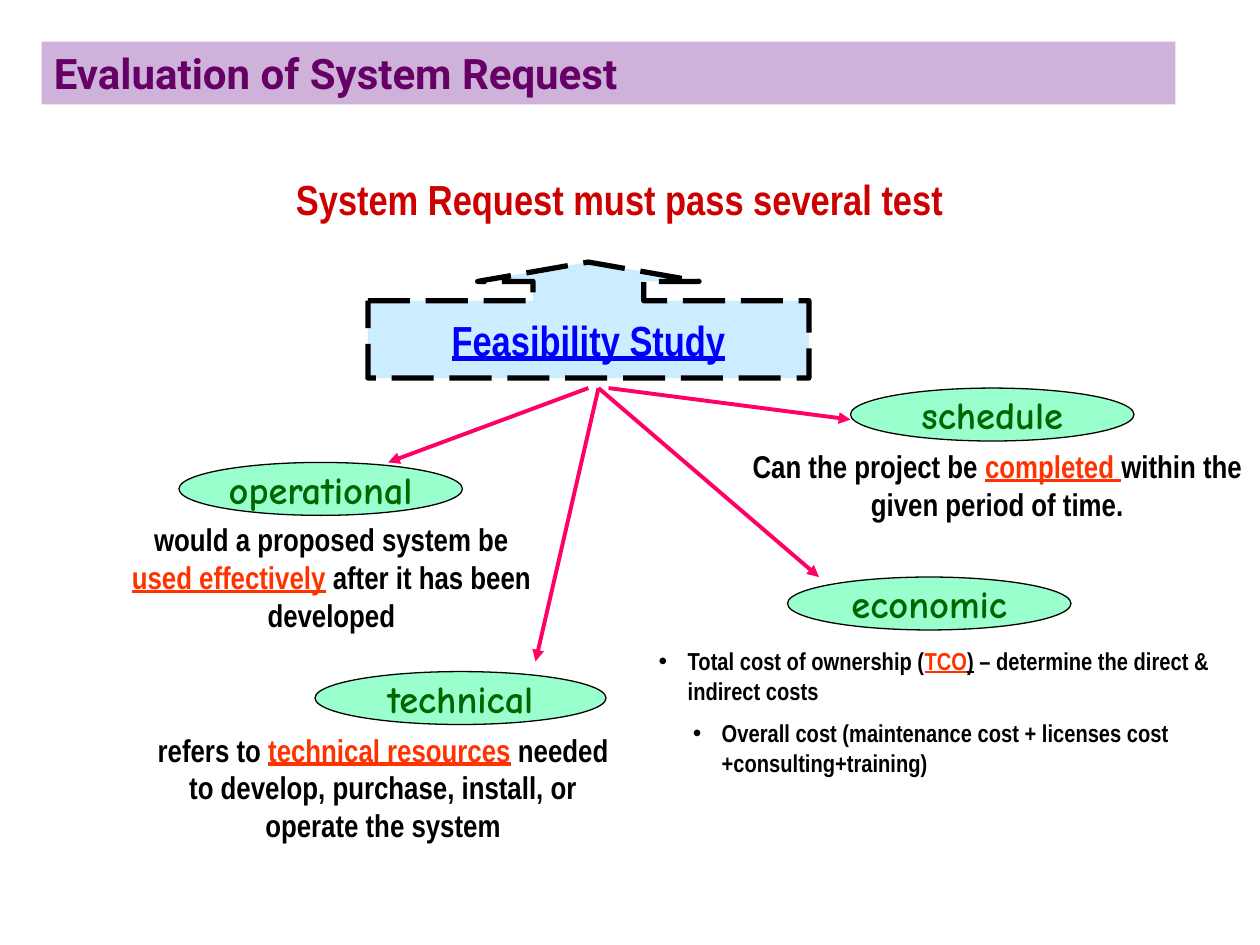
from lxml import etree
from pptx import Presentation
from pptx.dml.color import RGBColor
from pptx.enum import dml, shapes, text
from pptx.oxml.ns import qn
from pptx.util import Inches, Pt

PURPLE = RGBColor(0x66, 0x00, 0x66)
LILAC = RGBColor(0xCF, 0xB2, 0xDA)
DARK_RED = RGBColor(0xCC, 0x00, 0x00)
BLUE = RGBColor(0x00, 0x00, 0xFF)
PALE_BLUE = RGBColor(0xCC, 0xEC, 0xFF)
MINT = RGBColor(0x99, 0xFF, 0xCC)
GREEN = RGBColor(0x00, 0x66, 0x00)
PINK = RGBColor(0xFF, 0x00, 0x66)
ORANGE = RGBColor(0xFF, 0x33, 0x00)
BLACK = RGBColor(0x00, 0x00, 0x00)

NARROW = "Arial Narrow"
LEFT = text.PP_ALIGN.LEFT
CENTER = text.PP_ALIGN.CENTER
GROW = text.MSO_AUTO_SIZE.SHAPE_TO_FIT_TEXT

presentation = Presentation()
presentation.slide_width = Inches(10)
presentation.slide_height = Inches(7.5)
slide = presentation.slides.add_slide(presentation.slide_layouts[6])


def add_runs(paragraph, runs, size, font=NARROW, align=LEFT):
    paragraph.alignment = align
    for words, color, underline in runs:
        run = paragraph.add_run()
        run.text = words
        run.font.name = font
        run.font.size = Pt(size)
        run.font.bold = True
        run.font.underline = underline
        run.font.color.rgb = color


def add_filled(kind, box, fill):
    shape = slide.shapes.add_shape(kind, *map(Inches, box))
    shape.shadow.inherit = False
    shape.fill.solid()
    shape.fill.fore_color.rgb = fill
    shape.line.color.rgb = BLACK
    shape.line.width = Pt(0.75)
    shape.text_frame.word_wrap = False
    shape.text_frame.vertical_anchor = text.MSO_ANCHOR.MIDDLE
    return shape


title = add_filled(shapes.MSO_SHAPE.RECTANGLE, (0.33, 0.33, 9, 0.5), LILAC)
title.line.fill.background()
title.text_frame.word_wrap = True
title.text_frame.auto_size = GROW
title.text_frame.vertical_anchor = text.MSO_ANCHOR.TOP
add_runs(title.text_frame.paragraphs[0],
         [("Evaluation of System Request", PURPLE, False)], 24, "Roboto")

heading = slide.shapes.add_textbox(Inches(2.25), Inches(1.33), Inches(5.35), Inches(0.5))
heading.text_frame.word_wrap = False
heading.text_frame.auto_size = GROW
add_runs(heading.text_frame.paragraphs[0],
         [("System Request must pass several test", DARK_RED, False)], 24)

callout = add_filled(shapes.MSO_SHAPE.UP_ARROW_CALLOUT, (2.92, 2.08, 3.5, 0.92), PALE_BLUE)
for index, value in enumerate((0.955, 0.955, 0.167, 0.667)):
    callout.adjustments[index] = value
callout.line.width = Pt(3)
callout.line.dash_style = dml.MSO_LINE.LONG_DASH
add_runs(callout.text_frame.paragraphs[0],
         [("Feasibility Study", BLUE, True)], 24, align=CENTER)

for name, left, top, width in (
    ("operational", 1.42, 3.67, 2.25),
    ("schedule", 6.75, 3.08, 2.25),
    ("economic", 6.25, 4.58, 2.25),
    ("technical", 2.5, 5.33, 2.31),
):
    oval = add_filled(shapes.MSO_SHAPE.OVAL, (left, top, width, 0.42), MINT)
    add_runs(oval.text_frame.paragraphs[0], [(name, GREEN, False)], 22, "Comic Neue", CENTER)

for start_x, end_x, end_y in (
    (4.67, 3.08, 3.67),
    (4.75, 4.25, 5.25),
    (4.75, 6.5, 4.58),
    (4.83, 6.75, 3.33),
):
    arrow = slide.shapes.add_connector(
        shapes.MSO_CONNECTOR.STRAIGHT,
        Inches(start_x), Inches(3.08), Inches(end_x), Inches(end_y))
    arrow.line.color.rgb = PINK
    arrow.line.width = Pt(2.25)
    etree.SubElement(arrow.line._get_or_add_ln(), qn("a:tailEnd"), type="triangle")
    etree.SubElement(arrow._element.spPr, qn("a:effectLst"))

for box, before, key, after in (
    ((0.92, 4.08, 3.42, 1), "would a proposed system be ", "used effectively",
     " after it has been developed"),
    ((1.08, 5.75, 3.92, 1), "refers to ", "technical resources",
     " needed to develop, purchase, install, or operate the system"),
    ((5.83, 3.5, 4.17, 0.7), "Can the project be ", "completed ",
     "within the given period of time."),
):
    description = slide.shapes.add_textbox(*map(Inches, box))
    description.text_frame.word_wrap = True
    description.text_frame.auto_size = GROW
    add_runs(description.text_frame.paragraphs[0],
             [(before, BLACK, False), (key, ORANGE, True), (after, BLACK, False)],
             18, align=CENTER)

costs = slide.shapes.add_textbox(Inches(5.13), Inches(5.08), Inches(4.83), Inches(1.16))
costs.text_frame.word_wrap = True
costs.text_frame.auto_size = GROW
cost_runs = (
    [("Total cost of ownership (", BLACK, False), ("TCO", ORANGE, True),
     (")", BLACK, True), (" – determine the direct & indirect costs", BLACK, False)],
    [("Overall cost (maintenance cost + licenses cost +consulting+training)", BLACK, False)],
)
for level, runs in enumerate(cost_runs):
    if level:
        paragraph = costs.text_frame.add_paragraph()
        paragraph.space_before = Pt(7.5)
    else:
        paragraph = costs.text_frame.paragraphs[0]
    paragraph.level = level
    properties = paragraph._p.get_or_add_pPr()
    properties.set("marL", str(Inches(0.23 + 0.27 * level)))
    properties.set("indent", str(Inches(-0.23)))
    etree.SubElement(properties, qn("a:buFont"), typeface="Arial")
    etree.SubElement(properties, qn("a:buChar"), char="•")
    add_runs(paragraph, runs, 14)

presentation.save("out.pptx")
